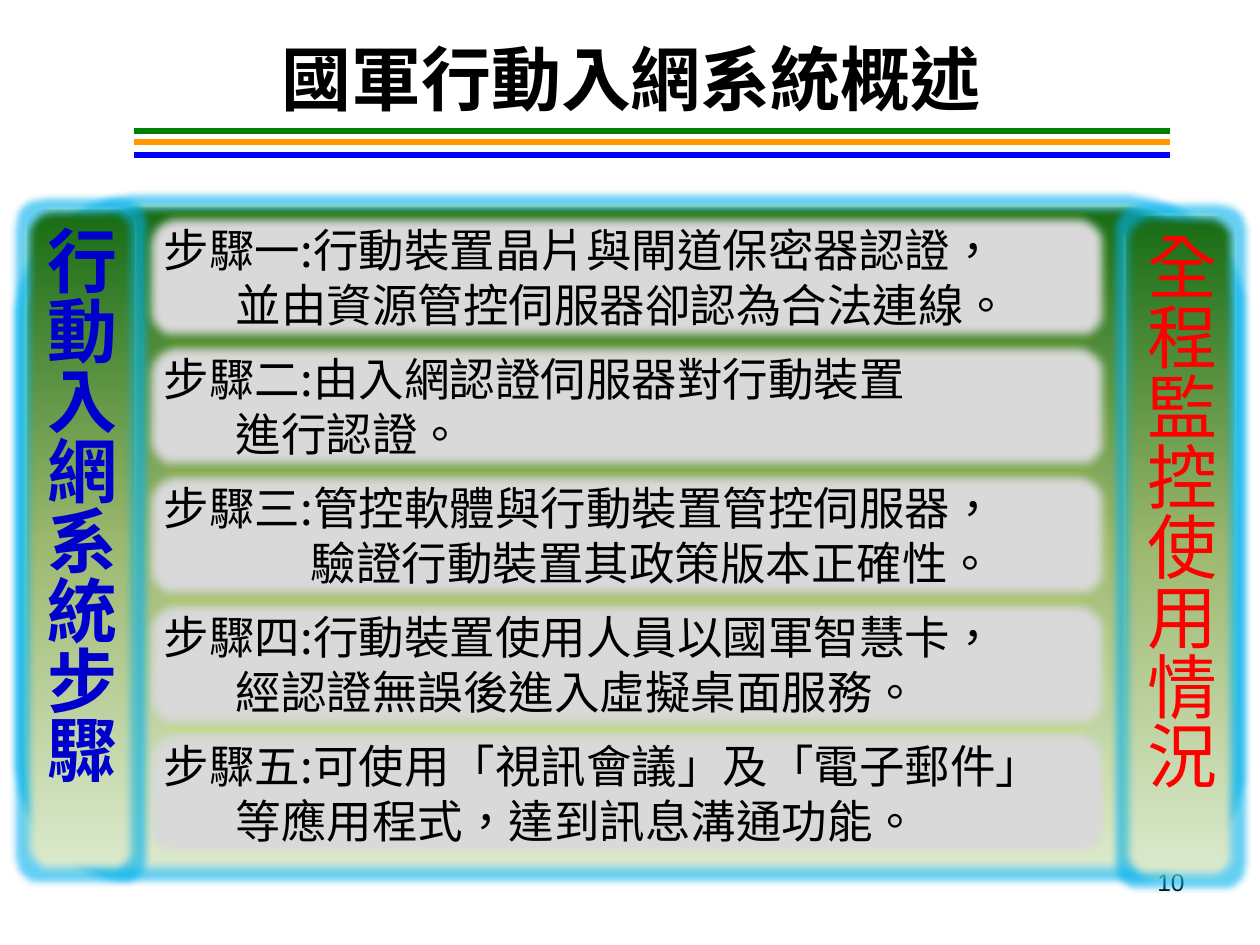
from lxml.etree import SubElement
from pptx import Presentation
from pptx.dml.color import RGBColor
from pptx.enum.shapes import MSO_CONNECTOR, MSO_SHAPE
from pptx.enum.text import MSO_ANCHOR, PP_ALIGN
from pptx.oxml import parse_xml
from pptx.oxml.ns import nsdecls, qn
from pptx.util import Pt

PX = 914400 / 126
COLORS = {
    "green": "008000", "orange": "FF9900", "blue": "0000FF",
    "black": "000000", "navy": "0000CC", "red": "FF0000",
    "gray": "D9D9D9", "yellow": "FFFF00", "glow": "00B0F0",
    "pale": "DDEBCF", "olive": "9CB86E", "forest": "156B13",
}
CJK = "Noto Sans CJK SC"


def add_run(paragraph, text, size, color, latin=CJK, bold=False):
    run = paragraph.add_run()
    run.text = text
    run.font.size = Pt(size)
    run.font.bold = bold
    run.font.name = latin
    run.font.color.rgb = RGBColor.from_string(COLORS[color])
    properties = run._r.get_or_add_rPr()
    properties.set("lang", "zh-TW")
    SubElement(properties, qn("a:ea")).set("typeface", CJK)


def add_soft_box(left, top, width, height, gray=False):
    box = slide.shapes.add_shape(
        MSO_SHAPE.ROUNDED_RECTANGLE, *[int(v * PX) for v in (left, top, width, height)])
    box.adjustments[0] = 0.17
    box.line.color.rgb = RGBColor.from_string(COLORS["yellow"])
    box.line.width = Pt(2.25)
    box.fill.solid()
    box.fill.fore_color.rgb = RGBColor.from_string(COLORS["gray"])
    box.shadow.inherit = False
    effects = box._element.spPr.find(qn("a:effectLst"))
    if not gray:
        stops = "".join(
            f'<a:gs pos="{pos}"><a:srgbClr val="{COLORS[name]}"/></a:gs>'
            for pos, name in ((0, "pale"), (50000, "olive"), (100000, "forest")))
        solid = box._element.spPr.find(qn("a:solidFill"))
        box._element.spPr.replace(solid, parse_xml(
            f'<a:gradFill {nsdecls("a")} rotWithShape="1"><a:gsLst>{stops}</a:gsLst>'
            '<a:lin ang="16200000" scaled="0"/></a:gradFill>'))
        effects.append(parse_xml(
            f'<a:glow {nsdecls("a")} rad="101600"><a:srgbClr val="{COLORS["glow"]}">'
            '<a:alpha val="60000"/></a:srgbClr></a:glow>'))
    SubElement(effects, qn("a:softEdge")).set("rad", "63500")
    box.text_frame.word_wrap = True
    box.text_frame.vertical_anchor = MSO_ANCHOR.MIDDLE
    return box


prs = Presentation()
prs.slide_width = int(1260 * PX)
prs.slide_height = int(945 * PX)
slide = prs.slides.add_slide(prs.slide_layouts[6])

for y, color in ((142, "orange"), (131, "green"), (155, "blue")):
    rule = slide.shapes.add_connector(
        MSO_CONNECTOR.STRAIGHT, int(1170 * PX), int(y * PX), int(134 * PX), int(y * PX))
    rule.line.color.rgb = RGBColor.from_string(COLORS[color])
    rule.line.width = Pt(3)
    SubElement(rule._element.spPr, qn("a:effectLst"))

for area, text, size, bold, align, anchor in (
    ((64, 0, 1134, 155), "國軍行動入網系統概述", 40, True, PP_ALIGN.CENTER, MSO_ANCHOR.MIDDLE),
    ((903, 861, 294, 66), "10", 14, False, PP_ALIGN.RIGHT, MSO_ANCHOR.TOP),
):
    label = slide.shapes.add_textbox(*[int(v * PX) for v in area])
    label.text_frame.word_wrap = True
    label.text_frame.vertical_anchor = anchor
    label.text_frame.paragraphs[0].alignment = align
    add_run(label.text_frame.paragraphs[0], text, size, "black", "Arial", bold)

add_soft_box(25, 205, 1211, 668)

steps = [
    ("步驟一:行動裝置晶片與閘道保密器認證，", "並由資源管控伺服器卻認為合法連線。", 72),
    ("步驟二:由入網認證伺服器對行動裝置", "進行認證。", 72),
    ("步驟三:管控軟體與行動裝置管控伺服器，", "驗證行動裝置其政策版本正確性。", 147),
    ("步驟四:行動裝置使用人員以國軍智慧卡，", "經認證無誤後進入虛擬桌面服務。", 72),
    ("步驟五:可使用「視訊會議」及「電子郵件」", "等應用程式，達到訊息溝通功能。", 72),
]
for index, (opening, continuation, indent) in enumerate(steps):
    step = add_soft_box(145, 214 + 129 * index, 963, 126, gray=True)
    first = step.text_frame.paragraphs[0]
    second = step.text_frame.add_paragraph()
    for paragraph, text in ((first, opening), (second, continuation)):
        paragraph.alignment = PP_ALIGN.LEFT
        add_run(paragraph, text, 26, "black")
    second._p.get_or_add_pPr().set("marL", str(int(indent * PX)))

for left, top, width, text, color, bold in (
    (25, 208, 111, "行動入網系統步驟", "navy", True),
    (1124, 214, 112, "全程監控使用情況", "red", False),
):
    column = add_soft_box(left, top, width, 665)
    column.text_frame._txBody.bodyPr.set("vert", "eaVert")
    heading = column.text_frame.paragraphs[0]
    heading.alignment = PP_ALIGN.LEFT
    add_run(heading, text, 40, color, bold=bold)

prs.save("out.pptx")
